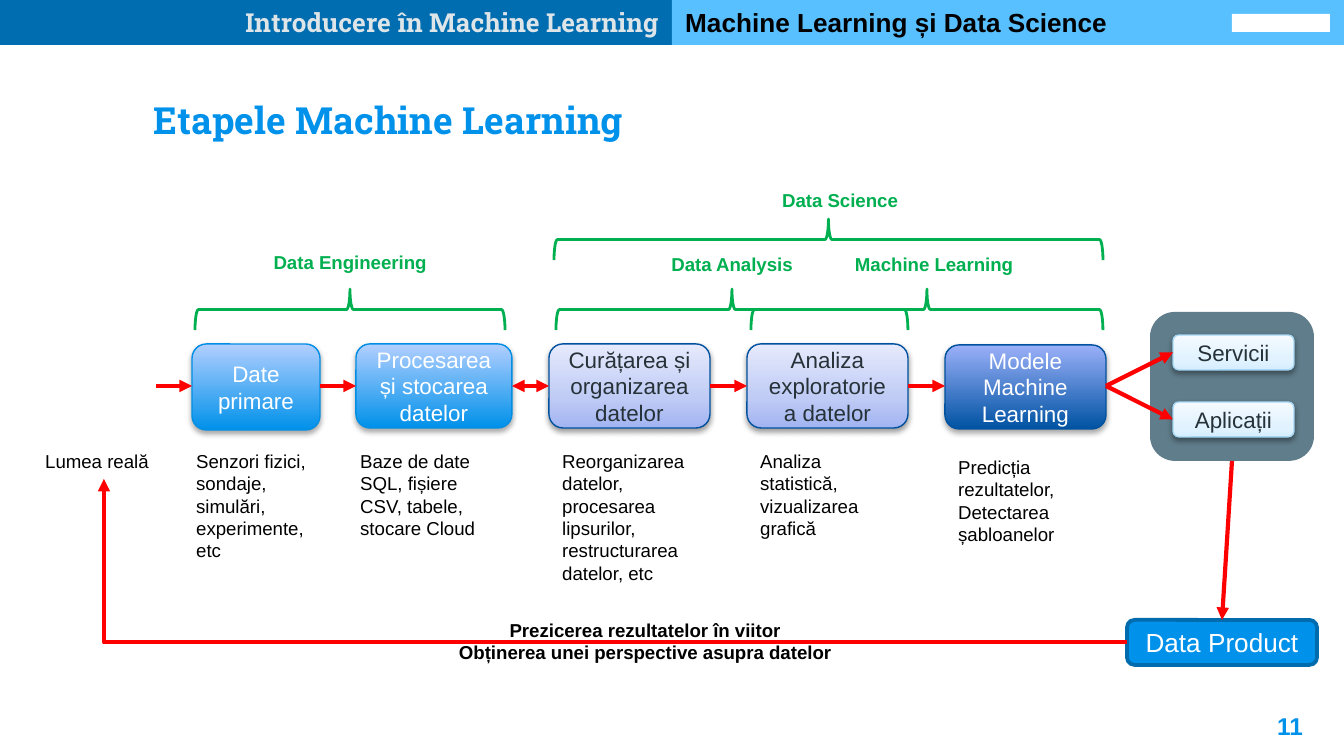
from pptx import Presentation
from pptx.dml.color import RGBColor
from pptx.enum.shapes import MSO_CONNECTOR, MSO_SHAPE
from pptx.enum.text import MSO_ANCHOR, MSO_AUTO_SIZE, PP_ALIGN
from pptx.oxml import parse_xml
from pptx.oxml.ns import nsdecls, qn
from pptx.util import Emu, Pt

SCALE = 914400 / 134.4
COLORS = {
    "accent": "0091EA", "green": "00B050", "red": "FF0000", "black": "000000",
    "white": "FFFFFF", "dark": "263238", "pale": "DEE5E9", "slate": "607D8B",
    "navy": "006DB0", "sky": "59C0FF", "product_edge": "006BAD",
}
STYLES = {
    "data": {"stops": [(0, "0091EA"), (100, "B2CFFF")], "edge": "008EE5",
             "text": "white", "shadow": (35, 1.8)},
    "analysis": {"stops": [(0, "A2B4F2"), (35, "BFCBF5"), (100, "E6EAFC")], "edge": "00519F",
                 "text": "dark", "shadow": (38, 1.6)},
    "model": {"stops": [(0, "0053A3"), (100, "9BB0F9")], "edge": "00519F",
              "text": "white", "shadow": (35, 1.8)},
    "output": {"stops": [(0, "D7EEFF"), (35, "E2F3FF"), (100, "F4FAFF")], "edge": "A6D7F4",
               "text": "dark", "shadow": (38, 1.6)},
}
STAGES = [
    ("Date primare", "data", (192, 344, 128, 86),
     "Senzori fizici, sondaje, simulări, experimente, etc", (183, 443)),
    ("Procesarea și stocarea datelor", "data", (356, 344, 156, 84),
     "Baze de date SQL, fișiere CSV, tabele, stocare Cloud", (347, 443)),
    ("Curățarea și organizarea datelor", "analysis", (549, 344, 161, 84),
     "Reorganizarea datelor, procesarea lipsurilor, restructurarea datelor, etc", (549, 443)),
    ("Analiza exploratorie a datelor", "analysis", (747, 344, 161, 84),
     "Analiza statistică, vizualizarea grafică", (747, 443)),
    ("Modele Machine Learning", "model", (945, 345, 161, 84),
     "Predicția rezultatelor, Detectarea șabloanelor", (945, 449)),
]
FIELDS = [
    ("Data Engineering", (195, 289, 310, 41), (237, 244)),
    ("Data Analysis", (556, 289, 352, 41), (619, 246)),
    ("Machine Learning", (751, 289, 352, 41), (821, 246)),
    ("Data Science", (554, 219, 549, 41), (727, 182)),
]
OUTPUTS = [("Servicii", (1173, 335, 121, 35)), ("Aplicații", (1173, 402, 121, 35))]
OUTPUT_PANEL = (1150, 312, 164, 149)
PRODUCT = ("Data Product", (1127, 620, 190, 45))
OUTCOMES = ["Prezicerea rezultatelor în viitor", "Obținerea unei perspective asupra datelor"]
HEADER = [
    ("Introducere în Machine Learning", (0, 0, 672, 45), "navy", "pale", "Roboto Slab", PP_ALIGN.RIGHT),
    ("Machine Learning și Data Science", (672, 0, 672, 45), "sky", "black", "Arial", PP_ALIGN.LEFT),
]
HEADER_MARK = (1232, 14, 98, 18)


def px(value):
    return Emu(round(value * SCALE))


def rgb(name):
    return RGBColor.from_string(COLORS.get(name, name))


def write(frame, lines, size, color, font="Arial", bold=False, align=PP_ALIGN.LEFT,
          anchor=MSO_ANCHOR.TOP, wrap=True):
    frame.word_wrap = wrap
    frame.auto_size = MSO_AUTO_SIZE.NONE
    frame.vertical_anchor = anchor
    for index, line in enumerate(lines):
        paragraph = frame.add_paragraph() if index else frame.paragraphs[0]
        paragraph.alignment = align
        run = paragraph.add_run()
        run.text = line
        run.font.size, run.font.name, run.font.bold = Pt(size), font, bold
        run.font.color.rgb = rgb(color)


def add_label(box, lines, size, color, **options):
    label = slide.shapes.add_textbox(*map(px, box))
    write(label.text_frame, lines, size, color, **options)
    return label


def add_block(kind, box, fill=None, edge=None, weight=0.75):
    block = slide.shapes.add_shape(kind, *map(px, box))
    block.shadow.inherit = False
    if fill:
        block.fill.solid()
        block.fill.fore_color.rgb = rgb(fill)
    else:
        block.fill.background()
    if edge:
        block.line.color.rgb = rgb(edge)
        block.line.width = Pt(weight)
    else:
        block.line.fill.background()
    return block


def add_card(name, style_name, box):
    style = STYLES[style_name]
    card = add_block(MSO_SHAPE.ROUNDED_RECTANGLE, box, None, style["edge"])
    properties = card._element.spPr
    stops = "".join(f'<a:gs pos="{position * 1000}"><a:srgbClr val="{color}"/></a:gs>'
                    for position, color in style["stops"])
    gradient = parse_xml(f'<a:gradFill {nsdecls("a")} rotWithShape="1"><a:gsLst>{stops}</a:gsLst>'
                         '<a:lin ang="16200000" scaled="0"/></a:gradFill>')
    properties.replace(properties.find(qn("a:noFill")), gradient)
    alpha, distance = style["shadow"]
    properties.find(qn("a:effectLst")).append(parse_xml(
        f'<a:outerShdw {nsdecls("a")} blurRad="{Pt(3.1)}" dist="{Pt(distance)}" dir="5400000" '
        f'rotWithShape="0"><a:srgbClr val="000000"><a:alpha val="{alpha * 1000}"/></a:srgbClr>'
        '</a:outerShdw>'))
    write(card.text_frame, [name], 12, style["text"], align=PP_ALIGN.CENTER,
          anchor=MSO_ANCHOR.MIDDLE)


def add_arrow(start, end, both=False, bent=False):
    kind = MSO_CONNECTOR.ELBOW if bent else MSO_CONNECTOR.STRAIGHT
    arrow = slide.shapes.add_connector(kind, *map(px, (*start, *end)))
    arrow.line.color.rgb = rgb("red")
    arrow.line.width = Pt(2.25)
    properties = arrow._element.spPr
    if bent:
        properties.find(qn("a:prstGeom")).set("prst", "bentConnector2")
    for tip in ("headEnd", "tailEnd") if both else ("tailEnd",):
        properties.find(qn("a:ln")).append(parse_xml(f'<a:{tip} {nsdecls("a")} type="triangle"/>'))
    properties.append(parse_xml(f'<a:effectLst {nsdecls("a")}/>'))


def add_brace(box):
    left, top, width, height = box
    upright = (left + (width - height) / 2, top + (height - width) / 2, height, width)
    brace = add_block(MSO_SHAPE.RIGHT_BRACE, upright, None, "green", 1.5)
    brace.rotation = 270


deck = Presentation()
deck.slide_width, deck.slide_height = px(1344), px(756)
slide = deck.slides.add_slide(deck.slide_layouts[5])

title = slide.shapes.title
title.left, title.top, title.width, title.height = map(px, (140, 90, 520, 60))
write(title.text_frame, ["Etapele Machine Learning"], 20, "accent", font="Roboto Slab",
      bold=True, anchor=MSO_ANCHOR.MIDDLE)

for name, box, fill, color, font, align in HEADER:
    band = add_block(MSO_SHAPE.RECTANGLE, box, fill)
    write(band.text_frame, [name], 14, color, font=font, bold=True, align=align,
          anchor=MSO_ANCHOR.MIDDLE)
add_block(MSO_SHAPE.RECTANGLE, HEADER_MARK, "white")

for name, brace_box, (left, top) in FIELDS:
    add_brace(brace_box)
    add_label((left, top, 226, 36), [name], 10, "green", bold=True, align=PP_ALIGN.CENTER)

for name, style_name, box, caption, (left, top) in STAGES:
    add_card(name, style_name, box)
    add_label((left, top, 157, 149), [caption], 10, "black")
add_label((32, 443, 144, 36), ["Lumea reală"], 10, "black")

flow_y = 386
source_x = 156
for index, (_, _, (left, _, width, _), _, _) in enumerate(STAGES):
    add_arrow((source_x, flow_y), (left, flow_y), both=index == 2)
    source_x = left + width

add_block(MSO_SHAPE.ROUNDED_RECTANGLE, OUTPUT_PANEL, "slate")
for name, box in OUTPUTS:
    left, top, _, height = box
    add_card(name, "output", box)
    add_arrow((source_x, flow_y), (left, top + height / 2))

product_name, product_box = PRODUCT
product_left, product_top, product_width, product_height = product_box
product = add_block(MSO_SHAPE.ROUNDED_RECTANGLE, product_box, "accent", "product_edge", 2)
write(product.text_frame, [product_name], 14, "white", align=PP_ALIGN.CENTER,
      anchor=MSO_ANCHOR.MIDDLE)
add_arrow((1232, OUTPUT_PANEL[1] + OUTPUT_PANEL[3]), (product_left + product_width / 2, product_top))
add_arrow((product_left, product_top + product_height / 2), (104, 479), bent=True)
add_label((438, 612, 414, 59), OUTCOMES, 10, "black", bold=True, align=PP_ALIGN.CENTER)

page_number = add_label((1235, 698, 81, 58), ["11"], 13, "accent", bold=True, align=PP_ALIGN.RIGHT)
page_number.text_frame.margin_top = page_number.text_frame.margin_bottom = px(13)

deck.save("out.pptx")
